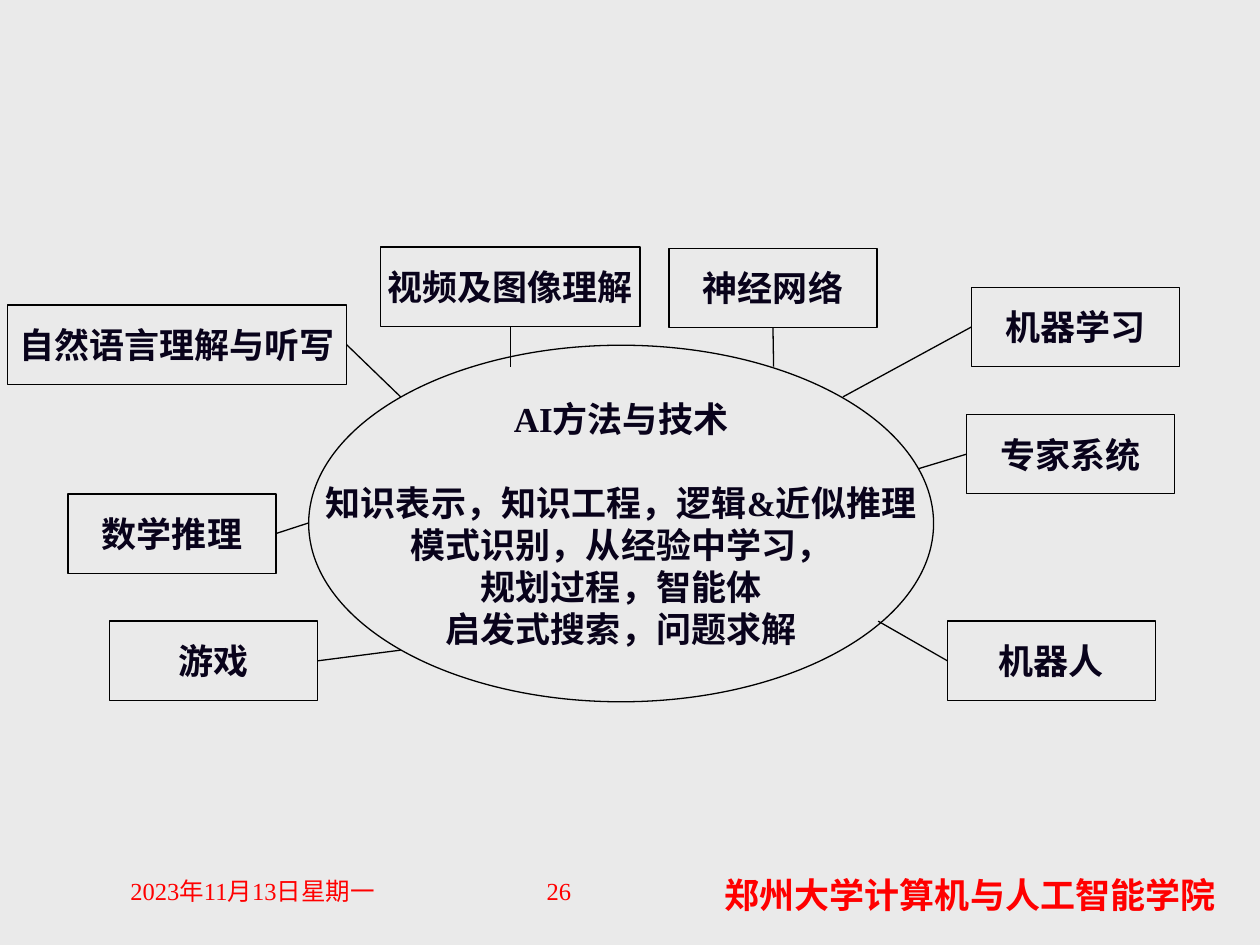
from lxml.etree import SubElement
from pptx import Presentation
from pptx.dml.color import RGBColor
from pptx.enum.shapes import MSO_CONNECTOR, MSO_SHAPE
from pptx.enum.text import MSO_ANCHOR, PP_ALIGN
from pptx.oxml.ns import qn
from pptx.util import Inches, Pt

COLORS = {"background": "EAEAEA", "ink": "09031B", "line": "000000", "footer": "FF0000"}
LATIN_FONT = "Times New Roman"
CHINESE_FONT = "Noto Sans CJK SC"
TOP, LEFT, BOTTOM, RIGHT = range(4)
BOX_WIDTH, BOX_HEIGHT = 1.65, 0.63

CORE_LINES = [
    "AI方法与技术",
    "知识表示，知识工程，逻辑&近似推理",
    "模式识别，从经验中学习，",
    "规划过程，智能体",
    "启发式搜索，问题求解",
]

FIELDS = [
    ("游戏", 0.87, 4.93, BOX_WIDTH, RIGHT, (3.18, 5.16)),
    ("视频及图像理解", 3.02, 1.96, 2.06, BOTTOM, (4.05, 2.91)),
    ("数学推理", 0.54, 3.92, BOX_WIDTH, RIGHT, (2.45, 4.15)),
    ("自然语言理解与听写", 0.06, 2.42, 2.69, RIGHT, (3.18, 3.15)),
    ("神经网络", 5.31, 1.97, BOX_WIDTH, BOTTOM, (6.14, 2.91)),
    ("机器学习", 7.71, 2.28, BOX_WIDTH, LEFT, (6.69, 3.15)),
    ("专家系统", 7.67, 3.29, BOX_WIDTH, LEFT, (7.29, 3.72)),
    ("机器人", 7.52, 4.93, BOX_WIDTH, LEFT, (6.97, 4.93)),
]

FOOTERS = [
    ("26", (3.27, 6.9, 2.33, 0.39), 14, LATIN_FONT, False),
    ("2023年11月13日星期一", (0.43, 6.9, 3.15, 0.36), 14, LATIN_FONT, False),
    ("郑州大学计算机与人工智能学院", (5.63, 6.88, 4.14, 0.44), 20, CHINESE_FONT, True),
]


def color(name):
    return RGBColor.from_string(COLORS[name])


def add_run(paragraph, text, size, color_name, font_name=LATIN_FONT, bold=True):
    paragraph.alignment = PP_ALIGN.CENTER
    run = paragraph.add_run()
    run.text = text
    run.font.size = Pt(size)
    run.font.bold = bold
    run.font.name = font_name
    run.font.color.rgb = color(color_name)
    SubElement(run.font._element, qn("a:ea"), typeface=CHINESE_FONT)


def add_outline(slide, kind, box, lines):
    shape = slide.shapes.add_shape(kind, *map(Inches, box))
    shape.shadow.inherit = False
    shape.fill.background()
    shape.line.color.rgb = color("line")
    shape.line.width = Pt(0.75)
    frame = shape.text_frame
    frame.word_wrap = False
    frame.vertical_anchor = MSO_ANCHOR.MIDDLE
    for index, line in enumerate(lines):
        paragraph = frame.add_paragraph() if index else frame.paragraphs[0]
        paragraph.line_spacing = Pt(24)
        if index == 1:
            paragraph.space_before = Pt(24)
        add_run(paragraph, line, 20, "ink")
    return shape


def add_field(slide, box, label, side, target):
    shape = add_outline(slide, MSO_SHAPE.RECTANGLE, box, [label])
    end_x, end_y = map(Inches, target)
    connector = slide.shapes.add_connector(
        MSO_CONNECTOR.STRAIGHT, shape.left, shape.top, end_x, end_y
    )
    connector.begin_connect(shape, side)
    connector.line.color.rgb = color("line")
    connector.line.width = Pt(0.75)
    SubElement(connector._element.spPr, qn("a:effectLst"))


def add_footer(slide, box, text, size, font_name, bold):
    frame = slide.shapes.add_textbox(*map(Inches, box)).text_frame
    frame.word_wrap = True
    add_run(frame.paragraphs[0], text, size, "footer", font_name, bold)


def main():
    presentation = Presentation()
    presentation.slide_width = Inches(10)
    presentation.slide_height = Inches(7.5)
    slide = presentation.slides.add_slide(presentation.slide_layouts[6])
    slide.background.fill.solid()
    slide.background.fill.fore_color.rgb = color("background")
    for text, box, size, font_name, bold in FOOTERS:
        add_footer(slide, box, text, size, font_name, bold)
    add_outline(slide, MSO_SHAPE.OVAL, (2.45, 2.74, 4.96, 2.83), CORE_LINES)
    for label, left, top, width, side, target in FIELDS:
        add_field(slide, (left, top, width, BOX_HEIGHT), label, side, target)
    presentation.save("out.pptx")


if __name__ == "__main__":
    main()
